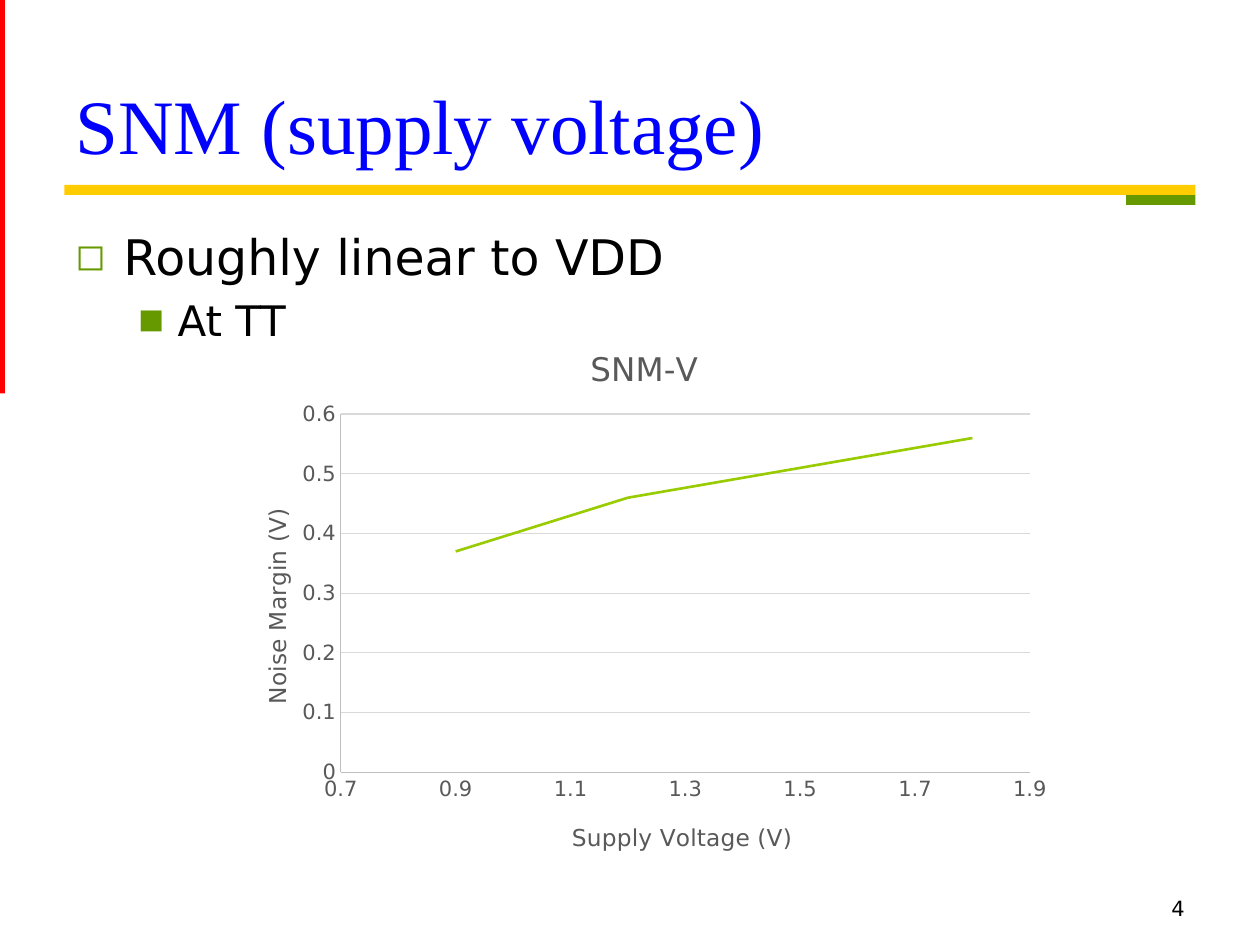
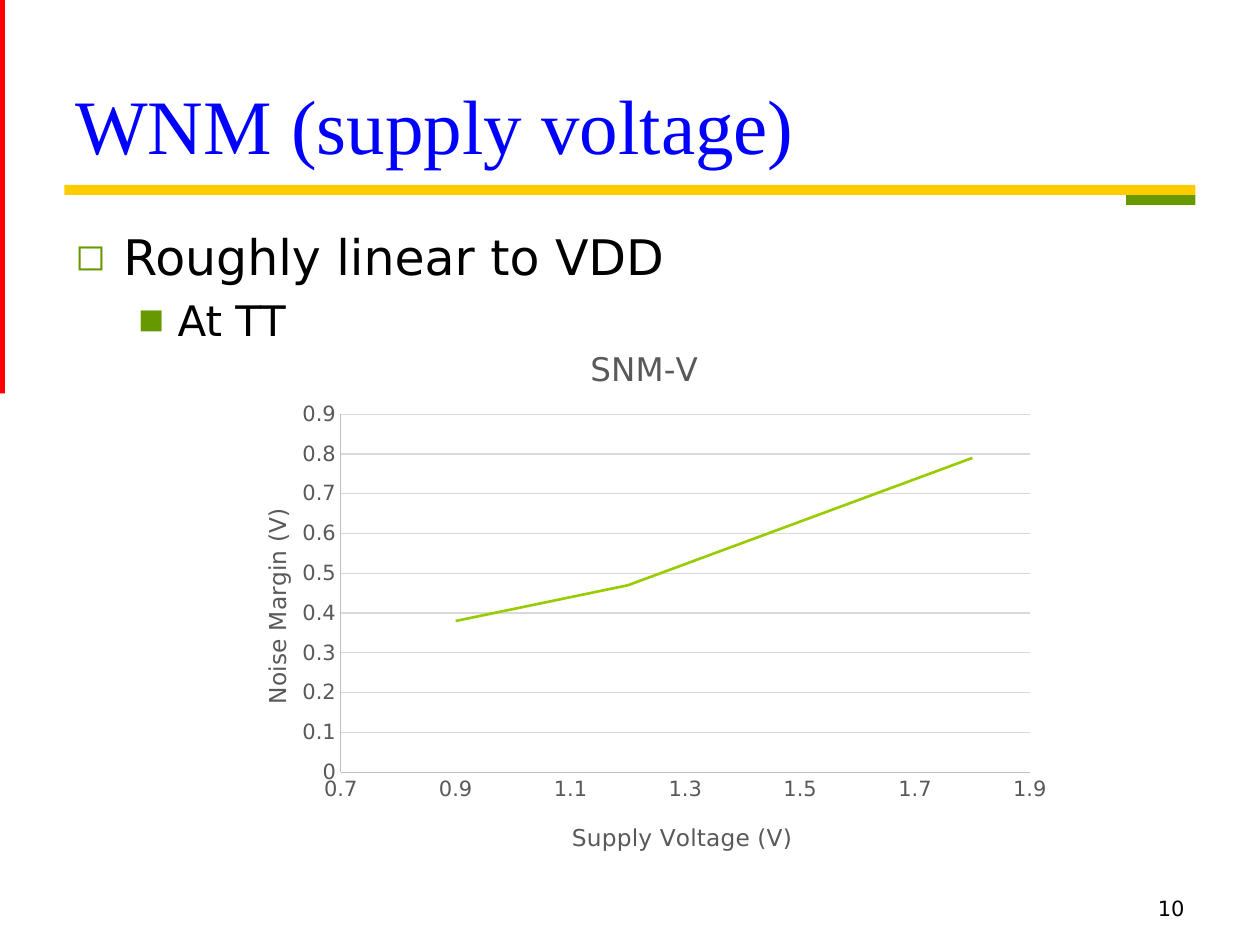
from dataclasses import dataclass

import lxml.etree
import pptx
import pptx.chart.data
import pptx.dml.color
import pptx.enum.chart
import pptx.enum.shapes
import pptx.enum.text
import pptx.oxml.ns
import pptx.util

Cm = pptx.util.Cm
Pt = pptx.util.Pt
qn = pptx.oxml.ns.qn

COLORS = {
    "title": "0000FF",
    "text": "000000",
    "accent": "669900",
    "rule": "FFCC00",
    "edge": "FF0000",
    "label": "595959",
    "axis": "BFBFBF",
    "grid": "D9D9D9",
    "curve": "99CC00",
}
BODY_FONT = "DejaVu Sans"
TITLE_FONT = "Times New Roman"


@dataclass(frozen=True)
class Box:
    left: float
    top: float
    width: float
    height: float

    def lengths(self) -> tuple:
        return Cm(self.left), Cm(self.top), Cm(self.width), Cm(self.height)


@dataclass(frozen=True)
class Band:
    box: Box
    color: str


@dataclass(frozen=True)
class Point:
    text: str
    size: float
    level: int
    margin: float
    hanging: float
    bullet: str
    bullet_percent: int


@dataclass(frozen=True)
class MarginSlide:
    title: str
    number: str
    noise_margins: tuple
    axis_maximum: float


BANDS = (
    Band(Box(22.7, 3.93, 1.4, 0.2), "accent"),
    Band(Box(0, 0, 0.1, 7.93), "edge"),
    Band(Box(1.3, 3.73, 22.8, 0.2), "rule"),
)
TITLE_BOX = Box(1.27, 0.36, 22.86, 3.18)
BODY_BOX = Box(1.27, 4.45, 22.86, 12.57)
NUMBER_BOX = Box(18.21, 17.93, 5.92, 0.71)
CHART_BOX = Box(4.5, 6.32, 16.94, 11.28)

POINTS = (
    Point("Roughly linear to VDD", 28, 0, 0.97, 0.97, "◻", 75),
    Point("At TT", 24, 1, 2.06, 0.79, "■", 65),
)
SUPPLY_VOLTAGES = (0.9, 1.2, 1.8)
SLIDES = (
    MarginSlide("SNM (supply voltage)", "4", (0.37, 0.46, 0.56), 0.6),
    MarginSlide("WNM (supply voltage)", "10", (0.38, 0.47, 0.79), 0.9),
)


def rgb(name: str) -> pptx.dml.color.RGBColor:
    return pptx.dml.color.RGBColor.from_string(COLORS[name])


def style_font(font, size: float, color: str, face: str = BODY_FONT) -> None:
    font.size = Pt(size)
    font.bold = False
    font.name = face
    font.color.rgb = rgb(color)


def add_run(paragraph, text: str, size: float, color: str, face: str = BODY_FONT) -> None:
    run = paragraph.add_run()
    run.text = text
    style_font(run.font, size, color, face)


def add_text_frame(slide, box: Box):
    frame = slide.shapes.add_textbox(*box.lengths()).text_frame
    frame.word_wrap = True
    return frame


def add_band(slide, band: Band) -> None:
    bar = slide.shapes.add_shape(
        pptx.enum.shapes.MSO_SHAPE.RECTANGLE, *band.box.lengths()
    )
    bar.shadow.inherit = False
    bar.fill.solid()
    bar.fill.fore_color.rgb = rgb(band.color)
    bar.line.fill.background()


def add_title(slide, text: str) -> None:
    frame = add_text_frame(slide, TITLE_BOX)
    frame.vertical_anchor = pptx.enum.text.MSO_ANCHOR.BOTTOM
    heading = frame.paragraphs[0]
    heading.line_spacing = 0.8
    add_run(heading, text, 44, "title", TITLE_FONT)


def add_bullet(paragraph, point: Point) -> None:
    properties = paragraph._p.get_or_add_pPr()
    properties.set("marL", str(Cm(point.margin)))
    properties.set("indent", str(-Cm(point.hanging)))
    color = lxml.etree.SubElement(properties, qn("a:buClr"))
    lxml.etree.SubElement(color, qn("a:srgbClr"), val=COLORS["accent"])
    lxml.etree.SubElement(
        properties, qn("a:buSzPct"), val=str(point.bullet_percent * 1000)
    )
    lxml.etree.SubElement(properties, qn("a:buFont"), typeface=BODY_FONT)
    lxml.etree.SubElement(properties, qn("a:buChar"), char=point.bullet)


def add_points(slide) -> None:
    frame = add_text_frame(slide, BODY_BOX)
    for index, point in enumerate(POINTS):
        paragraph = frame.add_paragraph() if index else frame.paragraphs[0]
        paragraph.level = point.level
        paragraph.space_before = Pt(point.size * 0.2)
        add_bullet(paragraph, point)
        add_run(paragraph, point.text, point.size, "text")


def add_number(slide, number: str) -> None:
    paragraph = add_text_frame(slide, NUMBER_BOX).paragraphs[0]
    paragraph.alignment = pptx.enum.text.PP_ALIGN.RIGHT
    add_run(paragraph, number, 12, "text")


def place(element, **fractions: float) -> None:
    for old in element.findall(qn("c:layout")):
        element.remove(old)
    layout = lxml.etree.Element(qn("c:layout"))
    manual = lxml.etree.SubElement(layout, qn("c:manualLayout"))
    if "w" in fractions:
        lxml.etree.SubElement(manual, qn("c:layoutTarget"), val="inner")
    for side in ("x", "y"):
        lxml.etree.SubElement(manual, qn(f"c:{side}Mode"), val="edge")
    for side, fraction in fractions.items():
        lxml.etree.SubElement(manual, qn(f"c:{side}"), val=str(fraction))
    element.insert(0 if element.find(qn("c:tx")) is None else 1, layout)


def write_title(title, text: str, size: float, x: float, y: float) -> None:
    add_run(title.text_frame.paragraphs[0], text, size, "label")
    place(title._element, x=x, y=y)


def style_axis(axis, low: float, high: float, step: float) -> None:
    axis.minimum_scale = low
    axis.maximum_scale = high
    axis.major_unit = step
    axis.major_tick_mark = pptx.enum.chart.XL_TICK_MARK.NONE
    axis.minor_tick_mark = pptx.enum.chart.XL_TICK_MARK.NONE
    axis.format.line.color.rgb = rgb("axis")
    axis.format.line.width = Pt(0.75)
    style_font(axis.tick_labels.font, 12, "label")


def add_margin_chart(slide, content: MarginSlide) -> None:
    data = pptx.chart.data.XyChartData()
    margins = data.add_series("Series 1")
    for voltage, margin in zip(SUPPLY_VOLTAGES, content.noise_margins):
        margins.add_data_point(voltage, margin)
    chart = slide.shapes.add_chart(
        pptx.enum.chart.XL_CHART_TYPE.XY_SCATTER_LINES_NO_MARKERS,
        *CHART_BOX.lengths(),
        data,
    ).chart
    style_font(chart.font, 10, "text")
    chart.has_legend = False
    write_title(chart.chart_title, "SNM-V", 18.6, 0.43, 0.05)

    voltage_axis, margin_axis = chart.category_axis, chart.value_axis
    style_axis(voltage_axis, 0.7, 1.9, 0.2)
    style_axis(margin_axis, 0, content.axis_maximum, 0.1)
    voltage_axis.has_major_gridlines = False
    margin_axis.has_major_gridlines = True
    margin_axis.major_gridlines.format.line.color.rgb = rgb("grid")
    margin_axis.major_gridlines.format.line.width = Pt(0.75)
    write_title(voltage_axis.axis_title, "Supply Voltage (V)", 13.3, 0.41, 0.9)
    write_title(margin_axis.axis_title, "Noise Margin (V)", 13.3, 0.04, 0.34)
    margin_axis.axis_title.text_frame._txBody.bodyPr.set("rot", "-5400000")

    plot = chart.plots[0]
    plot.vary_by_categories = False
    curve = plot.series[0]
    curve.smooth = False
    curve.marker.style = pptx.enum.chart.XL_MARKER_STYLE.NONE
    curve.format.line.color.rgb = rgb("curve")
    curve.format.line.width = Pt(1.5)
    plot_area = chart._chartSpace.chart.plotArea
    place(plot_area, x=0.14, y=0.18, w=0.82, h=0.64)


def add_margin_slide(deck, content: MarginSlide) -> None:
    slide = deck.slides.add_slide(deck.slide_layouts[6])
    for band in BANDS:
        add_band(slide, band)
    add_title(slide, content.title)
    add_points(slide)
    add_number(slide, content.number)
    add_margin_chart(slide, content)


def main() -> None:
    deck = pptx.Presentation()
    deck.slide_width = Cm(25.4)
    deck.slide_height = Cm(19.05)
    for content in SLIDES:
        add_margin_slide(deck, content)
    deck.save("out.pptx")


if __name__ == "__main__":
    main()
